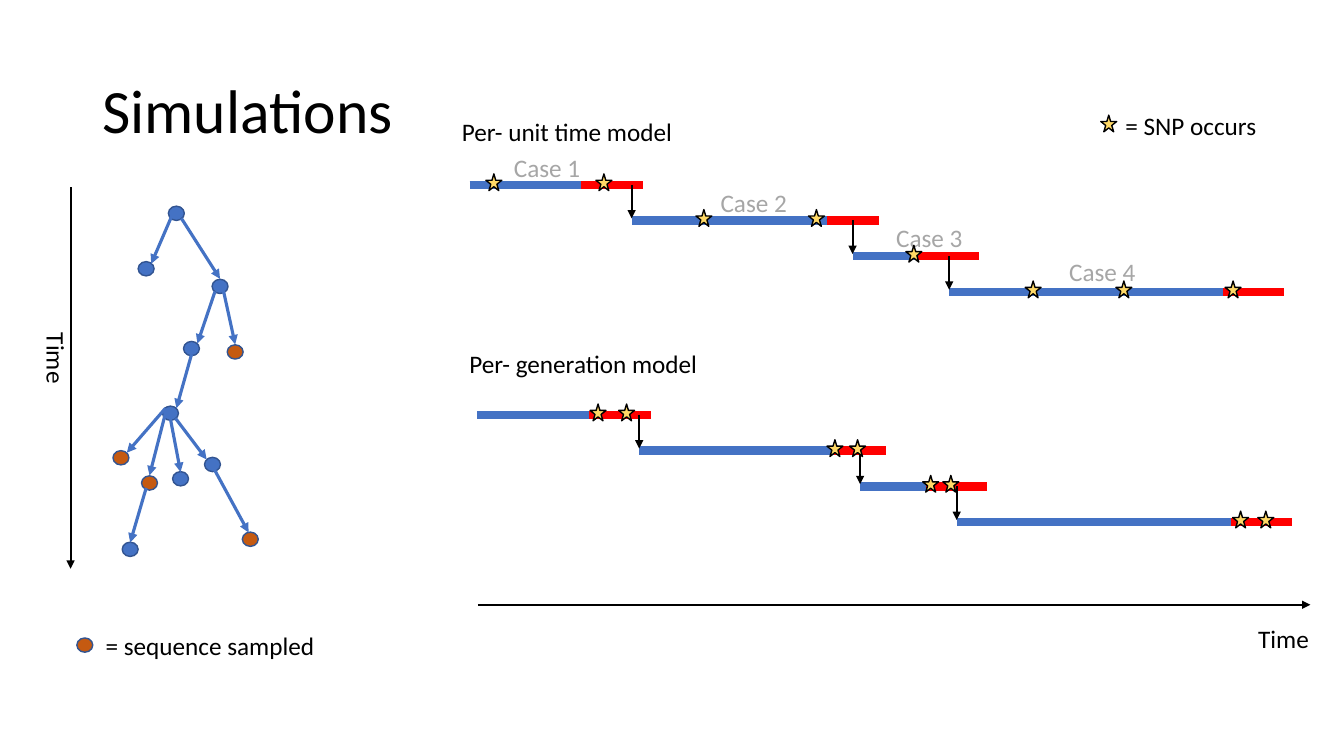
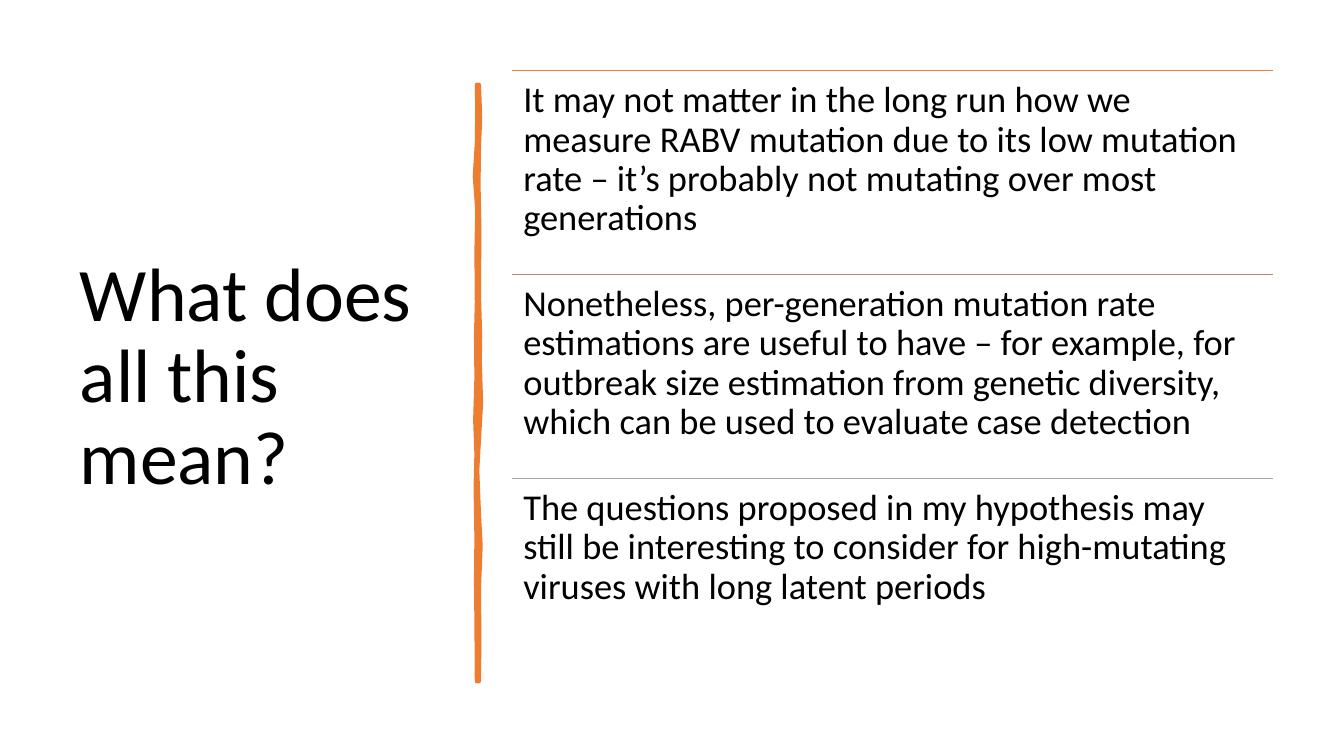
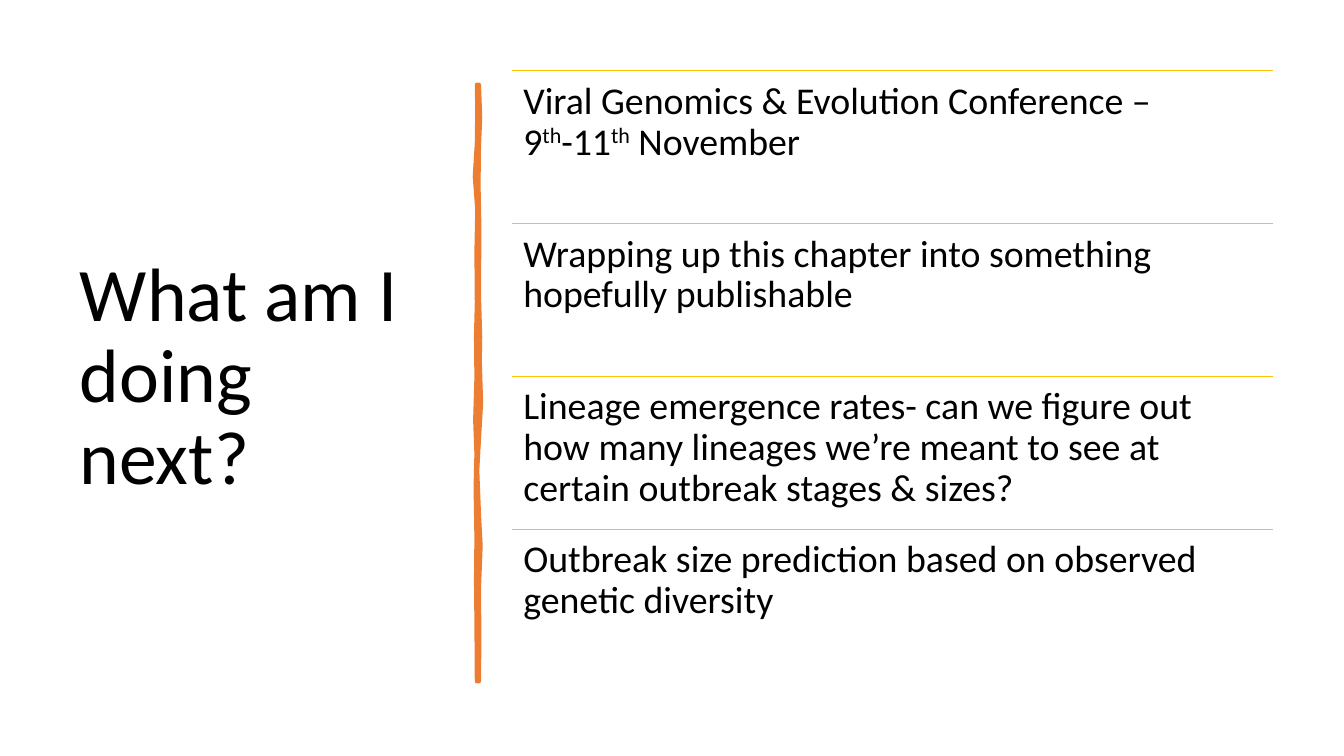
from dataclasses import dataclass

from lxml import etree
from pptx import Presentation
from pptx.dml.color import RGBColor
from pptx.enum.shapes import MSO_CONNECTOR, MSO_SHAPE
from pptx.enum.text import MSO_ANCHOR, MSO_AUTO_SIZE, PP_ALIGN
from pptx.oxml.ns import qn
from pptx.slide import Slide
from pptx.util import Emu, Inches, Pt

OVAL = MSO_SHAPE.OVAL
STAR = MSO_SHAPE.STAR_5_POINT
LINE = MSO_CONNECTOR.STRAIGHT
LEFT = PP_ALIGN.LEFT
TOP = MSO_ANCHOR.TOP
MIDDLE = MSO_ANCHOR.MIDDLE
FIXED = MSO_AUTO_SIZE.NONE

COLS, ROWS = 160, 90
CELL = Inches(7.5) / ROWS
FACE = "Calibri"
BLACK, GREY, SILVER = "000000", "A6A6A6", "A5A5A5"
BLUE, NAVY, RED = "4472C4", "325491", "FF0000"
RUST, ORANGE, CLAY = "C55A11", "ED7D31", "C48170"
GOLD, YELLOW = "FFC000", "FFD966"


@dataclass
class Label:
    text: str
    x: float
    y: float
    w: float
    color: str = BLACK
    turn: int = 0


@dataclass
class Node:
    x: float
    y: float
    color: str = BLUE


@dataclass
class Case:
    start: float
    split: float
    end: float


@dataclass
class Model:
    shift: float
    top: float
    stars: list[tuple[float, ...]]


@dataclass
class Page:
    title: str
    size: int
    items: list[tuple[str, str]]


NODES = [
    Node(21, 25.4), Node(26.2, 34.1), Node(17.4, 32), Node(22.8, 41.5),
    Node(28, 41.9, RUST), Node(20.3, 49.2), Node(25.3, 55.3),
    Node(21.5, 57), Node(17.8, 57.5, RUST), Node(14.4, 54.5, RUST),
    Node(29.8, 64.2, RUST), Node(15.5, 65.4), Node(10.1, 76.8, RUST),
]
TWIGS = [
    (21.6, 26, 26.2, 33.2), (26.6, 34.6, 28, 41), (20.5, 25.6, 18, 31.4),
    (25.6, 34.7, 23.5, 40.9), (22.8, 42.2, 21, 48.6),
    (20.9, 49.8, 24.6, 54.7), (20.3, 49.9, 21.5, 56.2),
    (19.7, 49.2, 17.8, 56.6), (19.7, 48.6, 15.1, 53.9),
    (25.2, 55.3, 29.6, 63.4), (17.4, 58.1, 15.5, 64.6),
]
AXES = [(8.4, 22.3, 8.4, 67.7), (56.9, 72, 156, 72)]
LABELS = [
    Label("Time", 2.5, 40.3, 8.5, turn=90),
    Label("Time", 148.6, 73.6, 8.5),
    Label("Case 1", 60, 17.6, 10.4, GREY),
    Label("Case 2", 84.6, 21.7, 10.4, GREY),
    Label("Case 3", 105.5, 25.9, 10.4, GREY),
    Label("Case 4", 126.1, 29.9, 10.4, GREY),
    Label("Per- unit time model", 53.8, 13.2, 27.8),
    Label("Per- generation model", 54.7, 40.9, 30),
    Label("= SNP occurs", 132.8, 12.5, 18.1),
    Label("= sequence sampled", 11.4, 74.4, 27.6),
]
CASES = [
    Case(55.9, 69.2, 76.6), Case(75.2, 98.4, 104.6),
    Case(101.5, 109.3, 116.6), Case(113, 145.6, 152.9),
]
STEP, DROP, LIFT = 4.25, 4, 0.3
MODELS = [
    Model(0, 22, [(58.8, 71.9), (83.8, 97.2), (108.8,),
                  (123, 133.8, 146.8)]),
    Model(0.9, 49.4, [(71.2, 74.6), (99.4, 102.1), (110.8, 113.2),
                      (147.7, 150.7)]),
]
BRUSH = [
    (57, 10.1), (57.15, 14), (57, 17.5), (56.95, 22), (57.05, 27),
    (57, 35.3), (57.15, 40), (57.1, 43), (57.25, 48), (57, 52.3),
    (56.8, 56), (57, 61.2), (57.2, 65), (57, 70), (57.05, 76), (57, 81.1),
    (56.8, 81.1), (56.75, 74), (56.7, 69), (56.75, 64), (56.65, 58),
    (56.75, 54), (56.6, 50), (56.75, 45), (56.7, 40), (56.8, 36),
    (56.75, 30), (56.85, 25), (56.55, 21), (56.8, 17), (56.85, 13),
    (56.8, 10.1),
]
LIST_X, LIST_Y, LIST_W, LIST_H = 61, 8.4, 90.6, 72.8
PAD = 1.3
PAGES = [
    Page("What does all this mean?", 26, [
        (ORANGE, "It may not matter in the long run how we measure RABV "
         "mutation due to its low mutation rate – it’s probably not "
         "mutating over most generations"),
        (CLAY, "Nonetheless, per-generation mutation rate estimations are "
         "useful to have – for example, for outbreak size estimation from "
         "genetic diversity, which can be used to evaluate case detection"),
        (SILVER, "The questions proposed in my hypothesis may still be "
         "interesting to consider for high-mutating viruses with long "
         "latent periods"),
    ]),
    Page("What am I doing next?", 27, [
        (GOLD, "Viral Genomics & Evolution Conference – "
         "9^th^-11^th^ November"),
        (GOLD, "Wrapping up this chapter into something hopefully "
         "publishable"),
        (GOLD, "Lineage emergence rates- can we figure out how many "
         "lineages we’re meant to see at certain outbreak stages & sizes?"),
        (GOLD, "Outbreak size prediction based on observed genetic "
         "diversity"),
    ]),
]


def cells(*spans: float) -> list[Emu]:
    return [Emu(round(span * CELL)) for span in spans]


def paint(target, color: str) -> None:
    if hasattr(target, "solid"):
        target.solid()
        target.fore_color.rgb = RGBColor.from_string(color)
    else:
        target.color.rgb = RGBColor.from_string(color)


def style(para, size: float, color: str = BLACK) -> None:
    para.alignment = LEFT
    para.font.name = FACE
    para.font.size = Pt(size)
    paint(para.font, color)


def add_title(slide: Slide, text: str, size: int, box: tuple) -> None:
    title = slide.shapes.title
    title.left, title.top, title.width, title.height = cells(*box)
    frame = title.text_frame
    frame.text = text
    frame.auto_size = FIXED
    frame.vertical_anchor = MIDDLE
    frame.paragraphs[0].line_spacing = 0.9
    style(frame.paragraphs[0], size)


def add_line(slide: Slide, ends: tuple, color: str, width: float,
             arrow: bool = False) -> None:
    line = slide.shapes.add_connector(LINE, *cells(*ends))
    paint(line.line, color)
    line.line.width = Pt(width)
    if arrow:
        edge = line.line._get_or_add_ln()
        etree.SubElement(edge, qn("a:tailEnd"), type="triangle")
    etree.SubElement(line._element.spPr, qn("a:effectLst"))


def add_mark(slide: Slide, kind: int, x: float, y: float, h: float,
             fill: str, edge: str) -> None:
    w = 1.9
    box = cells(x - w / 2, y - h / 2, w, h)
    mark = slide.shapes.add_shape(kind, *box)
    mark.shadow.inherit = False
    paint(mark.fill, fill)
    paint(mark.line, edge)
    mark.line.width = Pt(1)


def add_star(slide: Slide, x: float, y: float) -> None:
    add_mark(slide, STAR, x, y, 2, YELLOW, BLACK)


def add_label(slide: Slide, label: Label) -> None:
    box = slide.shapes.add_textbox(*cells(label.x, label.y, label.w, 4.8))
    box.rotation = label.turn
    frame = box.text_frame
    frame.word_wrap = False
    frame.text = label.text
    style(frame.paragraphs[0], 18, label.color)


def add_model(slide: Slide, model: Model) -> None:
    for row, case in enumerate(CASES):
        y = model.top + row * STEP
        start, split, end = (x + model.shift for x in
                             (case.start, case.split, case.end))
        add_line(slide, (start, y, split, y), BLUE, 6)
        add_line(slide, (split, y, end, y), RED, 6)
    for row, case in enumerate(CASES[1:]):
        x, y = case.start + model.shift, model.top + row * STEP
        add_line(slide, (x, y, x, y + DROP), BLACK, 1.5, True)
    for row, stars in enumerate(model.stars):
        for x in stars:
            add_star(slide, x, model.top + row * STEP - LIFT)


def add_brush(slide: Slide) -> None:
    first, *rest = [tuple(cells(*point)) for point in BRUSH]
    pen = slide.shapes.build_freeform(*first)
    pen.add_line_segments(rest)
    brush = pen.convert_to_shape()
    brush.shadow.inherit = False
    paint(brush.fill, ORANGE)
    paint(brush.line, ORANGE)
    brush.line.width = Pt(3.25)


def add_item(slide: Slide, text: str, size: int, y: float, h: float) -> None:
    box = slide.shapes.add_textbox(*cells(LIST_X, y, LIST_W, h))
    frame = box.text_frame
    frame.word_wrap = True
    frame.vertical_anchor = TOP
    (frame.margin_left, frame.margin_top,
     frame.margin_right, frame.margin_bottom) = cells(PAD, PAD, PAD, PAD)
    para = frame.paragraphs[0]
    para.line_spacing = 0.9
    style(para, size)
    for index, part in enumerate(text.split("^")):
        run = para.add_run()
        run.text = part
        if index % 2:
            run._r.get_or_add_rPr().set("baseline", "30000")


def draw_tree(slide: Slide) -> None:
    add_title(slide, "Simulations", 44, (11, 4.8, 138, 17.4))
    for node in NODES:
        add_mark(slide, OVAL, node.x, node.y, 1.7, node.color, NAVY)
    for twig in TWIGS:
        add_line(slide, twig, BLUE, 2.25, True)
    for axis in AXES:
        add_line(slide, axis, BLACK, 1.5, True)
    for label in LABELS:
        add_label(slide, label)
    for model in MODELS:
        add_model(slide, model)
    add_star(slide, 132, 14.7)


def draw_page(slide: Slide, page: Page) -> None:
    add_title(slide, page.title, 54, (8.3, 8.4, 44.9, 73.3))
    add_brush(slide)
    h = LIST_H / len(page.items)
    for row, (color, text) in enumerate(page.items):
        y = LIST_Y + row * h
        add_line(slide, (LIST_X, y, LIST_X + LIST_W, y), color, 1)
        add_item(slide, text, page.size, y, h)


def main() -> None:
    deck = Presentation()
    deck.slide_width, deck.slide_height = cells(COLS, ROWS)
    layout = deck.slide_layouts.get_by_name("Title Only")
    draw_tree(deck.slides.add_slide(layout))
    for page in PAGES:
        draw_page(deck.slides.add_slide(layout), page)
    deck.save("out.pptx")


if __name__ == "__main__":
    main()
